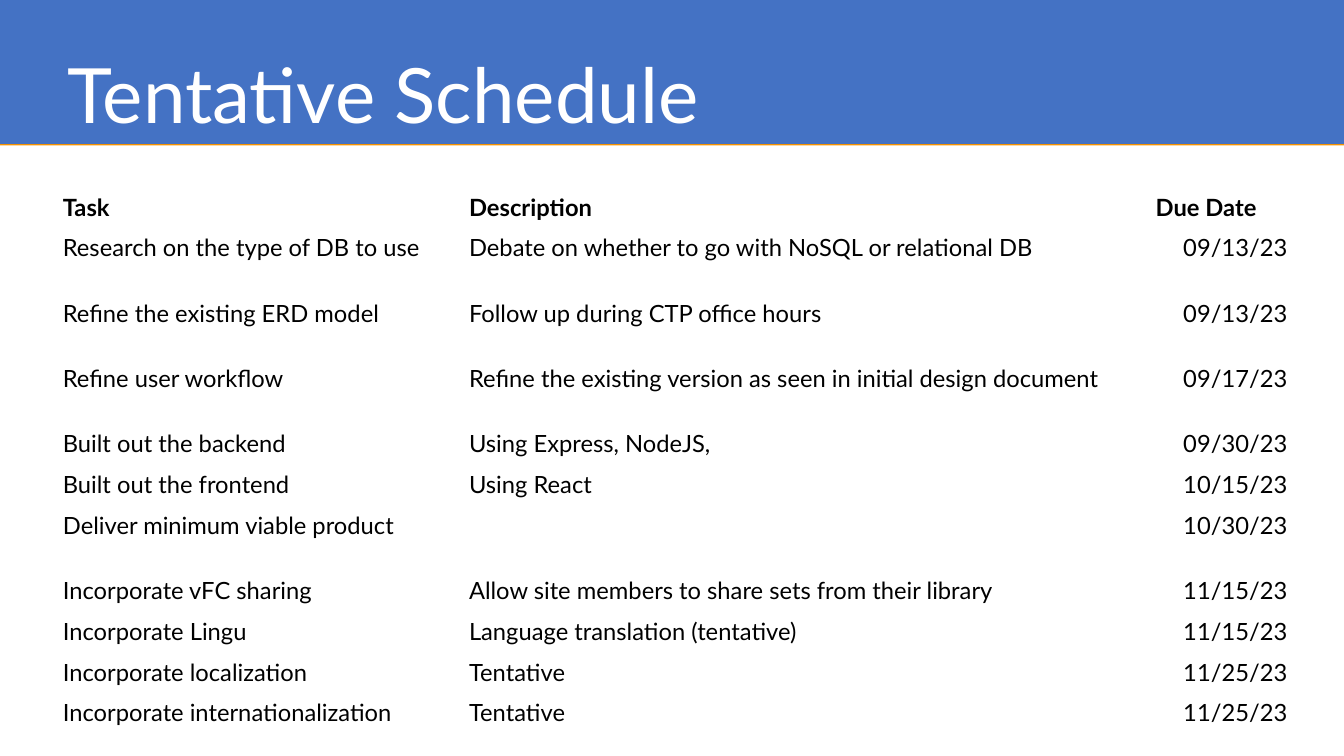
import dataclasses

import lxml.etree
import pptx
import pptx.dml.color
import pptx.enum.shapes
import pptx.enum.text
import pptx.oxml.ns
import pptx.util

Pt = pptx.util.Pt
RGB = pptx.dml.color.RGBColor
ALIGN = pptx.enum.text.PP_ALIGN
ANCHOR = pptx.enum.text.MSO_ANCHOR


@dataclasses.dataclass(frozen=True)
class Theme:
    font: str = "Lato"
    band: str = "4472C4"
    accent: str = "F49100"
    title_color: str = "FFFFFF"
    text_color: str = "000000"
    title_size: float = 45
    text_size: float = 14


@dataclasses.dataclass(frozen=True)
class Task:
    name: str
    description: str
    due: str
    tall: bool = False


THEME = Theme()
SLIDE_W, SLIDE_H = Pt(793.44), Pt(446.4)
BAND_H = Pt(85)
SHORT_ROW, TALL_ROW = Pt(24), Pt(38.6)
COLUMN_WIDTHS = (Pt(239.8), Pt(405.4), Pt(92.2))
HEADER = Task("Task", "Description", "Due Date")
TASKS = (
    Task("Research on the type of DB to use",
         "Debate on whether to go with NoSQL or relational DB", "09/13/23", True),
    Task("Refine the existing ERD model",
         "Follow up during CTP office hours", "09/13/23", True),
    Task("Refine user workflow",
         "Refine the existing version as seen in initial design document",
         "09/17/23", True),
    Task("Built out the backend", "Using Express, NodeJS,", "09/30/23"),
    Task("Built out the frontend", "Using React", "10/15/23"),
    Task("Deliver minimum viable product", "", "10/30/23", True),
    Task("Incorporate vFC sharing",
         "Allow site members to share sets from their library", "11/15/23"),
    Task("Incorporate Lingu", "Language translation (tentative)", "11/15/23"),
    Task("Incorporate localization", "Tentative", "11/25/23"),
    Task("Incorporate internationalization", "Tentative", "11/25/23", True),
)


def apply(obj: object, values: dict) -> None:
    for name, value in values.items():
        setattr(obj, name, value)


def add_text(p, text: str, size: float, color: str, bold: bool = False) -> None:
    r = p.add_run()
    r.text = text
    apply(r.font, {"name": THEME.font, "size": Pt(size), "bold": bold})
    r.font.color.rgb = RGB.from_string(color)


def add_band(s) -> None:
    sp = s.shapes.add_shape(
        pptx.enum.shapes.MSO_SHAPE.RECTANGLE, 0, 0, SLIDE_W, BAND_H)
    sp.fill.solid()
    sp.fill.fore_color.rgb = RGB.from_string(THEME.band)
    sp.line.fill.background()
    # Hard shadow that shows as a thin accent edge below the band
    sp.shadow.inherit = False
    qn = pptx.oxml.ns.qn
    effects = sp._element.spPr.find(qn("a:effectLst"))
    shadow = lxml.etree.SubElement(
        effects, qn("a:outerShdw"), blurRad="0", dist=str(Pt(0.9)),
        dir="5400000", algn="t", rotWithShape="0")
    lxml.etree.SubElement(shadow, qn("a:srgbClr"), val=THEME.accent)
    # Send the band behind the title
    s.shapes._spTree.insert(2, sp._element)


def add_title(s, text: str) -> None:
    sp = s.shapes.title
    apply(sp, {"left": Pt(39.6), "top": Pt(7.2),
               "width": Pt(714.2), "height": Pt(74.9)})
    tf = sp.text_frame
    apply(tf, {"margin_left": 0, "margin_top": 0, "margin_right": 0,
               "margin_bottom": 0, "word_wrap": True,
               "vertical_anchor": ANCHOR.BOTTOM,
               "auto_size": pptx.enum.text.MSO_AUTO_SIZE.NONE})
    p = tf.paragraphs[0]
    p.alignment = ALIGN.LEFT
    add_text(p, text, THEME.title_size, THEME.title_color)


def add_schedule(s, tasks: tuple[Task, ...]) -> None:
    rows = (HEADER, *tasks)
    heights = [TALL_ROW if task.tall else SHORT_ROW for task in rows]
    table = s.shapes.add_table(
        len(rows), len(COLUMN_WIDTHS), Pt(29.9), Pt(110.2),
        sum(COLUMN_WIDTHS), sum(heights)).table
    apply(table, {"first_row": True, "horz_banding": False})
    for column, width in zip(table.columns, COLUMN_WIDTHS):
        column.width = width
    for row, height, task in zip(table.rows, heights, rows):
        row.height = height
        is_header = task is HEADER
        for cell, text in zip(row.cells, (task.name, task.description, task.due)):
            cell.fill.background()
            p = cell.text_frame.paragraphs[0]
            if text == task.due and not is_header:
                p.alignment = ALIGN.RIGHT
            if text:
                add_text(p, text, THEME.text_size, THEME.text_color, is_header)


prs = pptx.Presentation()
apply(prs, {"slide_width": SLIDE_W, "slide_height": SLIDE_H})
s = prs.slides.add_slide(prs.slide_layouts[5])

# Heading
add_band(s)
add_title(s, "Tentative Schedule")

# Schedule table
add_schedule(s, TASKS)

prs.save("out.pptx")
